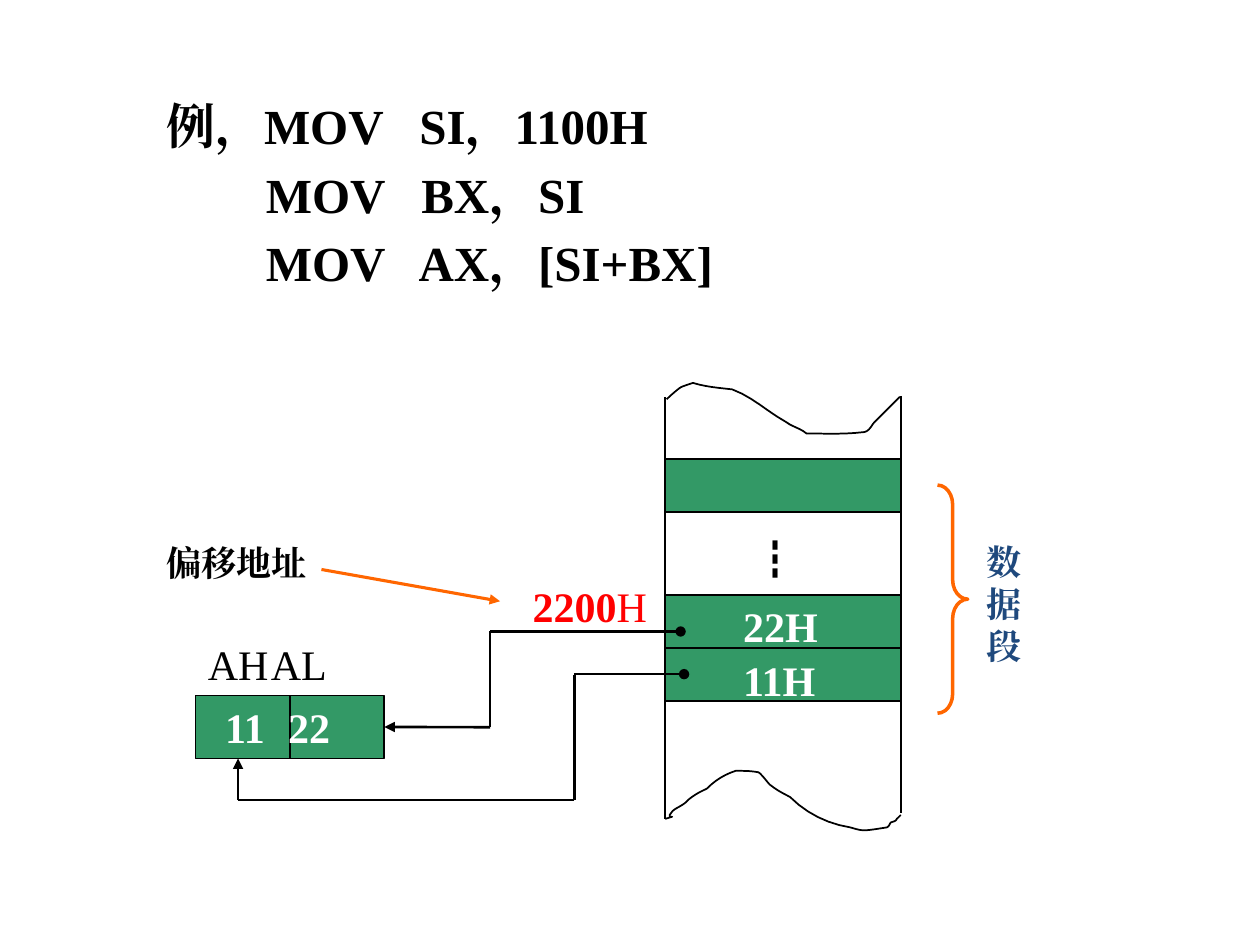
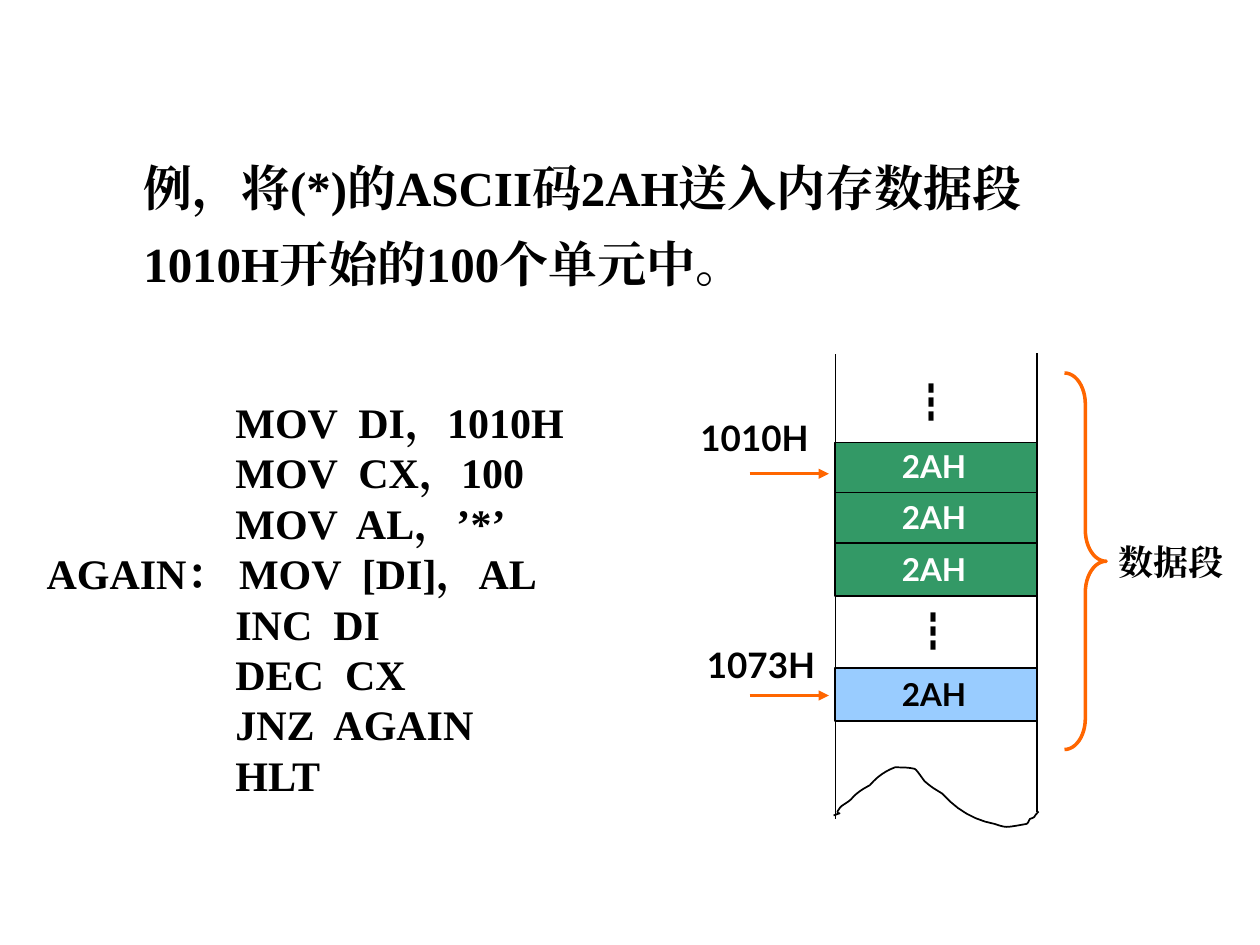
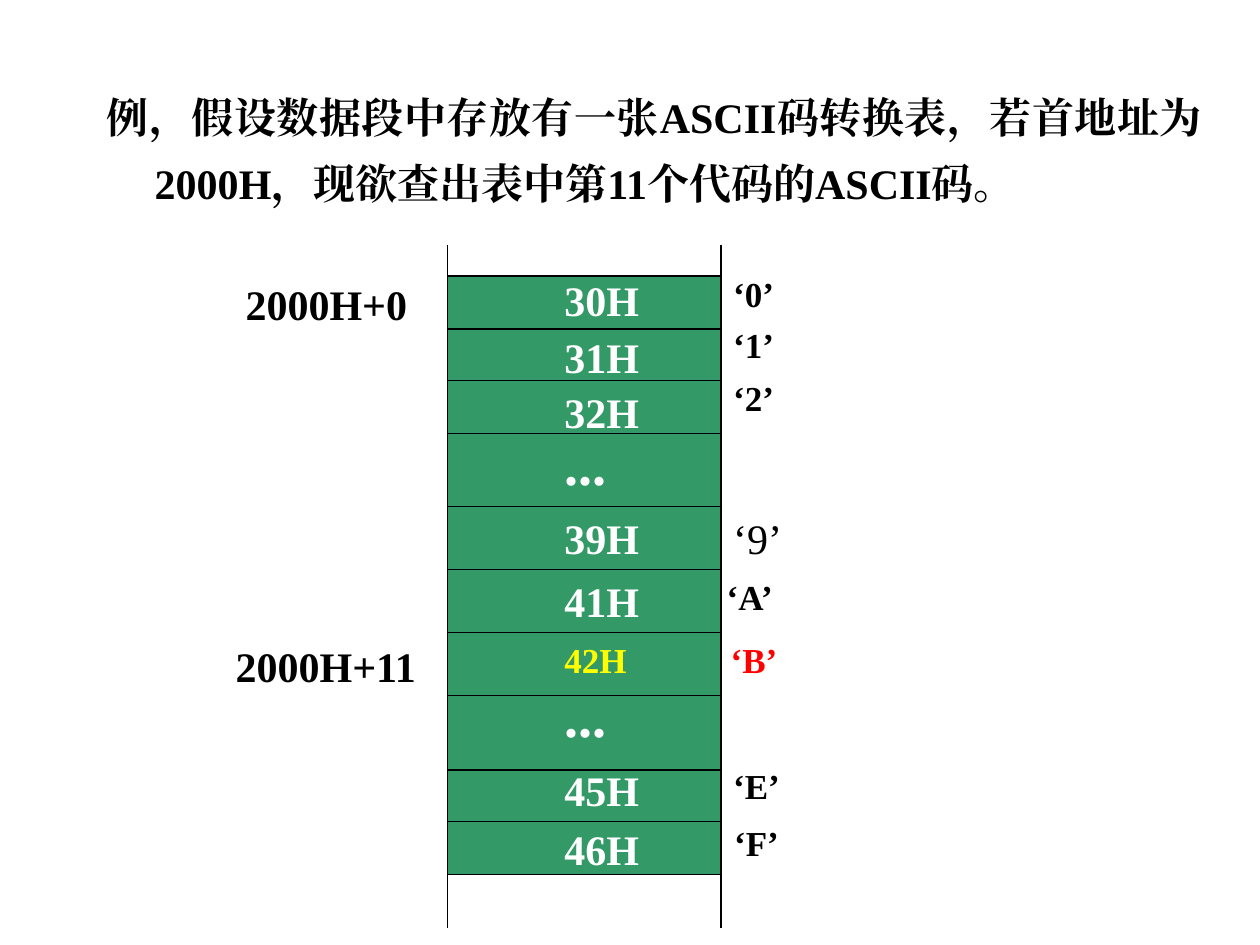
from lxml import etree
from pptx import Presentation
from pptx.dml.color import RGBColor
from pptx.enum.shapes import MSO_CONNECTOR, MSO_SHAPE
from pptx.enum.text import PP_ALIGN
from pptx.oxml.ns import qn
from pptx.util import Cm, Pt

STRAIGHT = MSO_CONNECTOR.STRAIGHT
RECTANGLE = MSO_SHAPE.RECTANGLE
BRACE = MSO_SHAPE.RIGHT_BRACE
JUSTIFY = PP_ALIGN.JUSTIFY

COLORS = {
    "ink": "000000", "white": "FFFFFF", "cell": "339966", "last_cell": "99CCFF",
    "accent": "FF6600", "red": "FF0000", "yellow": "FFFF00", "navy": "1F497D",
}
SERIF, SANS, CJK = "Times New Roman", "Lato", "Noto Sans CJK SC"
TOP, LEFT, BOTTOM, RIGHT = range(4)
CODE_INDENT = " " * 18

# Torn memory edges: a start point, then three points for each Bezier curve, in cm
TOP_TEAR = [
    (0, 0.33),
    (0.05, 0.28), (0.25, 0.1), (0.3, 0.08),
    (0.38, 0.05), (0.53, 0), (0.53, 0),
    (0.79, 0.08), (1.04, 0.1), (1.32, 0.13),
    (1.73, 0.28), (2.03, 0.58), (2.41, 0.79),
    (2.54, 0.89), (2.69, 0.91), (2.82, 1.02),
    (3.2, 1.02), (3.61, 1.04), (3.99, 0.99),
    (4.09, 0.97), (4.14, 0.84), (4.19, 0.79),
    (4.37, 0.61), (4.52, 0.46), (4.7, 0.28),
]
BOTTOM_TEAR = [
    (0.05, 0.97),
    (0.38, 0.86), (0, 1.02), (0.2, 0.81),
    (0.28, 0.74), (0.38, 0.71), (0.46, 0.64),
    (0.58, 0.51), (0.74, 0.43), (0.89, 0.36),
    (1.07, 0.18), (1.24, 0.08), (1.47, 0),
    (1.63, 0), (1.78, 0), (1.93, 0.03),
    (1.98, 0.05), (2.11, 0.23), (2.16, 0.28),
    (2.36, 0.43), (2.39, 0.43), (2.57, 0.53),
    (2.9, 0.86), (3.33, 1.07), (3.78, 1.14),
    (4.06, 1.22), (4.01, 1.22), (4.52, 1.14),
    (4.57, 1.12), (4.57, 1.07), (4.6, 1.04),
    (4.65, 1.02), (4.7, 1.02), (4.72, 0.97),
    (4.75, 0.94), (4.8, 0.89), (4.8, 0.89),
]


def rgb(name):
    return RGBColor.from_string(COLORS[name])


def add_text(page, content, left, top, width, height=1.27, size=24, color="ink",
             bold=True, font=SERIF, align=None, spacing=None, before=0,
             margin=0, later_margin=0, first_indent=0, tab=None):
    """Write one line or a list of lines; a line may be a list of (text, bold) spans."""
    box = page.shapes.add_textbox(Cm(left), Cm(top), Cm(width), Cm(height))
    frame = box.text_frame
    frame.word_wrap = True
    lines = content if isinstance(content, list) else [content]
    for number, line in enumerate(lines):
        para = frame.add_paragraph() if number else frame.paragraphs[0]
        para.alignment = align
        para.line_spacing = spacing
        if number and before:
            para.space_before = Pt(before)
        props = para._p.get_or_add_pPr()
        props.set("marL", str(Cm(later_margin if number else margin)))
        props.set("indent", str(Cm(first_indent)))
        if tab:
            stops = etree.SubElement(props, qn("a:tabLst"))
            etree.SubElement(stops, qn("a:tab"), pos=str(Cm(tab)), algn="l")
        for words, heavy in [(line, bold)] if isinstance(line, str) else line:
            span = para.add_run()
            span.text = words
            span.font.size = Pt(size)
            span.font.bold = heavy
            span.font.name = font
            span.font.color.rgb = rgb(color)
            etree.SubElement(span._r.get_or_add_rPr(), qn("a:ea"), typeface=font)
    return box


def style_outline(shape, fill=None, color="ink", width=1):
    shape.shadow.inherit = False
    if fill:
        shape.fill.solid()
        shape.fill.fore_color.rgb = rgb(fill)
    else:
        shape.fill.background()
    shape.line.color.rgb = rgb(color)
    shape.line.width = Pt(width)


def add_cell(page, left, top, width, height, fill="cell"):
    cell = page.shapes.add_shape(RECTANGLE, Cm(left), Cm(top), Cm(width), Cm(height))
    style_outline(cell, fill)
    return cell


def add_brace(page, left, top, width, height, curve):
    brace = page.shapes.add_shape(BRACE, Cm(left), Cm(top), Cm(width), Cm(height))
    brace.adjustments[0] = curve
    brace.adjustments[1] = 0.5
    style_outline(brace, color="accent", width=2)


def add_line(page, start, end, color="ink", width=1, tip=None):
    line = page.shapes.add_connector(STRAIGHT, *(Cm(value) for value in start + end))
    line.line.color.rgb = rgb(color)
    line.line.width = Pt(width)
    props = line._element.spPr
    if tip:
        etree.SubElement(props.find(qn("a:ln")), qn("a:tailEnd"), type=tip)
    etree.SubElement(props, qn("a:effectLst"))
    return line


def add_route(page, corners, tip=None):
    """Draw a right-angled wire; the tip sits on its last leg, which is returned."""
    last = len(corners) - 2
    for leg in range(last + 1):
        line = add_line(page, corners[leg], corners[leg + 1], width=1.5,
                        tip=tip if leg == last else None)
    return line


def add_tear(page, points, left, top, stretch=1):
    """Trace the joined Bezier curves with short segments."""
    steps = 6
    trace = [points[0]]
    for first in range(0, len(points) - 1, 3):
        a, b, c, d = points[first:first + 4]
        for step in range(1, steps + 1):
            t = step / steps
            u = 1 - t
            trace.append(tuple(
                u**3 * a[i] + 3 * u * u * t * b[i] + 3 * u * t * t * c[i] + t**3 * d[i]
                for i in (0, 1)))
    spots = [(Cm(left + x * stretch), Cm(top + y)) for x, y in trace]
    builder = page.shapes.build_freeform(*spots[0])
    builder.add_line_segments(spots[1:], close=False)
    style_outline(builder.convert_to_shape())


def add_dots(page, left, top):
    add_text(page, "┇", left, top, 1.7, bold=False, font=CJK)


def build_indexed_move(page):
    add_text(page, ["例，MOV   SI，1100H", "   MOV   BX，SI", "   MOV   AX，[SI+BX]"],
             3.1, 1.8, 12.8, 4.55, size=28, before=5.6, later_margin=1.27)

    # Memory column
    for top in (9.25, 11.99, 13.06):
        add_cell(page, 13.41, top, 4.75, 1.07)
    add_line(page, (13.41, 8), (13.41, 16.51))
    add_line(page, (18.16, 7.98), (18.16, 16.38))
    add_tear(page, TOP_TEAR, 13.44, 7.72)
    add_tear(page, BOTTOM_TEAR, 13.36, 15.54)
    for value, top in (("22H", 11.99), ("11H", 13.06)):
        add_text(page, value, 14.73, top, 2.34, color="white")
    add_dots(page, 14.96, 10.64)
    add_brace(page, 18.9, 9.78, 0.61, 4.6, 0.64)
    add_text(page, "数据段", 19.63, 10.77, 1.27, 2.79, size=20, color="navy")

    # Offset address
    add_text(page, [[("2200", True), ("H", False)]], 10.49, 11.58, 2.92, color="red")
    add_text(page, "偏移地址", 3.1, 10.8, 3.84, 1.09, size=20)
    add_line(page, (6.48, 11.48), (10.08, 12.12), "accent", 1.75, "triangle")

    # Register AX with its two halves
    register = add_cell(page, 3.94, 14.02, 3.81, 1.27)
    divider = add_line(page, (5.84, 14.02), (5.84, 15.29))
    divider.begin_connect(register, TOP)
    divider.end_connect(register, BOTTOM)
    add_text(page, "AH\tAL", 3.94, 12.75, 4.24, bold=False, tab=2.02)
    add_text(page, "11\t22", 4.29, 14.02, 3.8, color="white", tab=1.63)

    # Wires from memory to the register
    low_byte = add_route(page, [(9.88, 12.73), (9.88, 14.66), (7.75, 14.66)], "triangle")
    low_byte.end_connect(register, RIGHT)
    add_route(page, [(11.58, 13.6), (11.58, 16.13), (4.8, 16.13), (4.8, 15.29)], "triangle")
    add_route(page, [(9.88, 12.73), (13.72, 12.73)], "oval")
    add_route(page, [(11.58, 13.59), (13.79, 13.59)], "oval")


def build_fill_loop(page):
    add_text(page, "例，将(*)的ASCII码2AH送入内存数据段1010H开始的100个单元中。",
             2.64, 2.69, 19.61, 3.2, size=28, spacing=1.3)

    # Program
    program = ["MOV  DI，1010H", "MOV  CX，100", "MOV  AL，’*’", "AGAIN： MOV  [DI]，AL",
               "INC  DI", "DEC  CX", "JNZ  AGAIN", "HLT"]
    add_text(page, [line if "：" in line else CODE_INDENT + line for line in program],
             0.69, 7.87, 12.75, 8.46)

    # Memory column
    for cell_top, text_top, fill, color in (
            (8.92, 8.89, "cell", "white"), (9.93, 9.91, "cell", "white"),
            (10.95, 10.97, "cell", "white"), (13.46, 13.49, "last_cell", "ink")):
        add_cell(page, 16.84, cell_top, 4.06, 1.07, fill)
        add_text(page, "2AH", 17.93, text_top, 2.59, 1.02, size=18, color=color, font=SANS)
    add_line(page, (16.84, 7.14), (16.84, 16.51))
    add_line(page, (20.9, 7.12), (20.9, 16.36))
    add_tear(page, BOTTOM_TEAR, 16.76, 15.47, 0.87)
    add_dots(page, 18.11, 7.47)
    add_dots(page, 18.14, 12.09)
    add_brace(page, 21.46, 7.52, 0.84, 7.59, 0.75)
    add_text(page, "数据段", 22.3, 10.77, 2.69, 1.09, size=20)

    # First and last address
    for address, left, top, arrow_y in (
            ("1010H", 13.87, 8.28, 9.55), ("1073H", 14, 12.85, 14.02)):
        add_text(page, address, left, top, 2.92, 1.12, size=20, font=SANS)
        add_line(page, (15.11, arrow_y), (16.71, arrow_y), "accent", 1.75, "triangle")


def build_code_table(page):
    add_text(page, "例，假设数据段中存放有一张ASCII码转换表，若首地址为2000H，"
             "现欲查出表中第11个代码的ASCII码。", 1.9, 1.42, 22.58, 2.57,
             align=JUSTIFY, spacing=1.3, margin=0.97, first_indent=-0.97)

    # Table body, dividers and open ends
    left, right = 9.02, 14.53
    add_cell(page, left, 5.56, right - left, 4.65)
    add_cell(page, left, 10.21, right - left, 7.42)
    for y in (6.63, 7.67, 8.74, 11.48, 12.75, 14.02, 15.52, 16.56):
        add_line(page, (left, y), (right, y))
    for x in (left, right):
        add_line(page, (x, 4.93), (x, 5.56))
        add_line(page, (x, 15.29), (x, 18.7))

    # Stored codes
    for code, top, size, color in (
            ("30H", 5.41, 24, "white"), ("31H", 6.55, 24, "white"),
            ("32H", 7.67, 24, "white"), ("...", 8.53, 32, "white"),
            ("39H", 10.21, 24, "white"), ("41H", 11.48, 24, "white"),
            ("42H", 12.75, 20, "yellow"), ("...", 13.61, 32, "white"),
            ("45H", 15.29, 24, "white"), ("46H", 16.48, 24, "white")):
        add_text(page, code, 11.13, top, 4.65, size=size, color=color)

    # Characters beside the codes
    for mark, x, top in (
            ("‘0’", 14.53, 5.36), ("‘1’", 14.53, 6.4), ("‘2’", 14.53, 7.47),
            ("‘A’", 14.4, 11.48), ("‘B’", 14.48, 12.75),
            ("‘E’", 14.53, 15.29), ("‘F’", 14.55, 16.43)):
        add_text(page, mark, x, top, 2.1, 1.12, size=20,
                 color="red" if mark == "‘B’" else "ink")
    add_text(page, "‘9’", 14.53, 10.21, 2.51, bold=False)

    # Addresses
    add_text(page, "2000H+0", 4.7, 5.49, 4.11)
    add_text(page, "2000H+11", 4.5, 12.78, 4.52)


def main():
    deck = Presentation()
    deck.slide_width, deck.slide_height = Cm(25.4), Cm(19.05)
    blank = deck.slide_layouts[6]
    for build in (build_indexed_move, build_fill_loop, build_code_table):
        build(deck.slides.add_slide(blank))
    deck.save("out.pptx")


if __name__ == "__main__":
    main()
